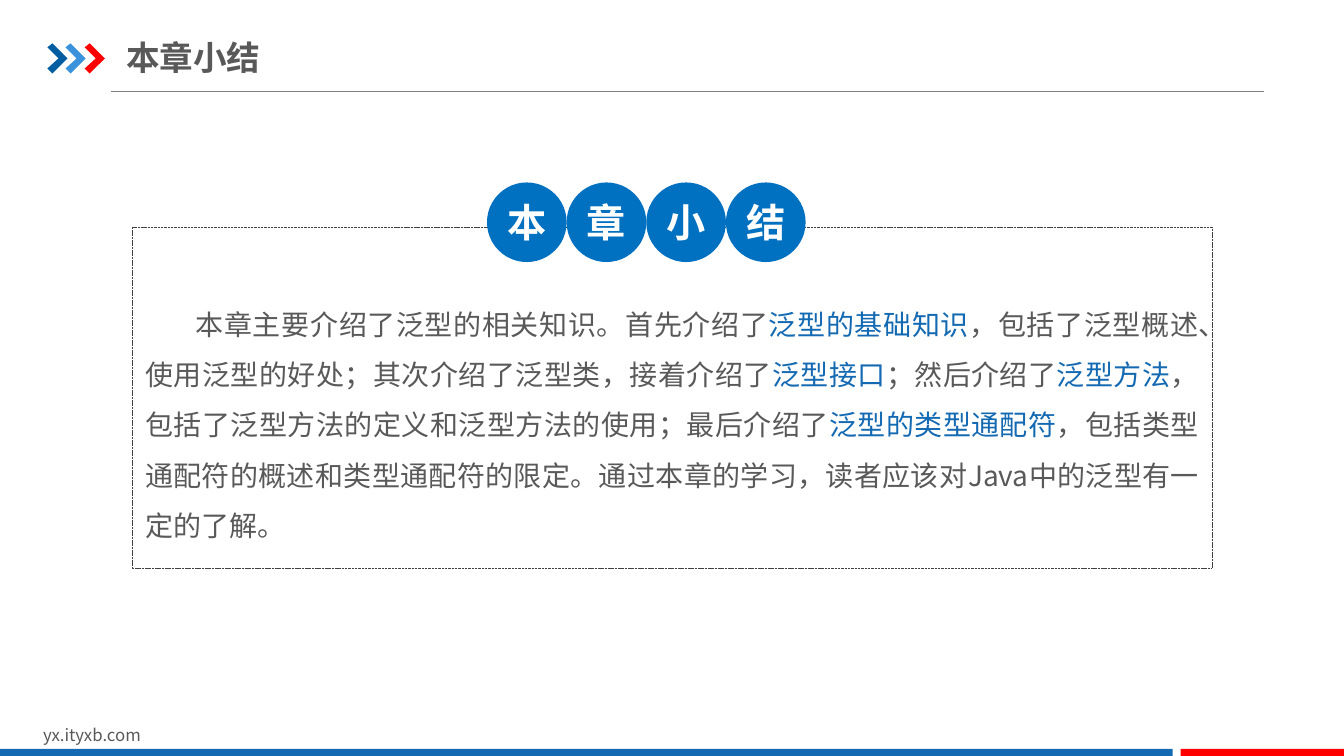
from lxml.etree import SubElement
from pptx import Presentation
from pptx.dml.color import RGBColor
from pptx.enum.dml import MSO_LINE_DASH_STYLE as Dash
from pptx.enum.shapes import MSO_CONNECTOR as Connector, MSO_SHAPE as Shape
from pptx.enum.text import MSO_ANCHOR as Anchor, MSO_AUTO_SIZE as AutoSize, PP_ALIGN as Align
from pptx.oxml.ns import qn
from pptx.util import Pt

PX = 9144  # 100 px to the inch
GREY, BLUE, RED, DISC_BLUE = "595959", "1369B2", "FF0000", "0070C0"

SUMMARY = [
    ("本章主要介绍了泛型的相关知识。首先介绍了", GREY),
    ("泛型的基础知识", BLUE),
    ("，包括了泛型概述、使用泛型的好处；其次介绍了泛型类，接着介绍了", GREY),
    ("泛型接口", BLUE),
    ("；然后介绍了", GREY),
    ("泛型方法", BLUE),
    ("，包括了泛型方法的定义和泛型方法的使用；最后介绍了", GREY),
    ("泛型的类型通配符", BLUE),
    ("，包括类型通配符的概述和类型通配符的限定。通过本章的学习，读者应该对Java中的泛型有一定的了解。", GREY),
]


def rgb(value):
    return RGBColor.from_string(value)


def assign(target, values):
    for name, value in values.items():
        setattr(target, name, value)


class Painter:
    """Draws elements on one page in a shared style; lengths are in px."""

    font = "Noto Sans CJK SC"

    def __init__(self, page):
        self.page = page
        self.shapes = page.shapes

    def place(self, box, left, top, width, height):
        assign(box, {"left": left * PX, "top": top * PX,
                     "width": width * PX, "height": height * PX})

    def fill_text(self, box, spans, size, bold=False, align=Align.LEFT,
                  anchor=Anchor.TOP, insets=(10, 5), line_spacing=1.0, indent=0):
        """Fill the box with one paragraph of (text, colour) spans."""
        across, down = (inset * PX for inset in insets)
        frame = box.text_frame
        assign(frame, {"auto_size": AutoSize.NONE, "word_wrap": True,
                       "vertical_anchor": anchor,
                       "margin_left": across, "margin_right": across,
                       "margin_top": down, "margin_bottom": down})
        para = frame.paragraphs[0]
        assign(para, {"alignment": align, "line_spacing": line_spacing})
        if indent:
            para._p.get_or_add_pPr().set("indent", str(indent * PX))
        for text, colour in spans:
            span = para.add_run()
            span.text = text
            assign(span.font, {"name": self.font, "size": Pt(size), "bold": bold})
            span.font.color.rgb = rgb(colour)
            SubElement(span._r.get_or_add_rPr(), qn("a:ea"), typeface=self.font)

    def title(self, text, *place):
        box = self.shapes.title
        self.place(box, *place)
        self.fill_text(box, [(text, GREY)], 24, bold=True, anchor=Anchor.MIDDLE, insets=(0, 7))

    def text(self, spans, *place, **style):
        box = self.shapes.add_textbox(*(length * PX for length in place))
        self.fill_text(box, spans, **style)

    def shape(self, kind, *place, fill=None):
        box = self.shapes.add_shape(kind, *(length * PX for length in place))
        return self.finish(box, fill)

    def finish(self, box, fill):
        """Remove the shadow and outline, and set the fill."""
        box.shadow.inherit = False
        box.line.fill.background()
        if fill:
            box.fill.solid()
            box.fill.fore_color.rgb = rgb(fill)
        else:
            box.fill.background()
        return box

    def chevron(self, left, top, fill):
        outline = [(5, 0), (20, 15), (5, 30), (0, 25), (11, 15)]
        builder = self.shapes.build_freeform(left, top + 4, scale=PX)
        builder.add_line_segments([(left + x, top + y) for x, y in outline])
        self.finish(builder.convert_to_shape(), fill)

    def rule(self, left, right, top, colour, weight):
        line = self.shapes.add_connector(
            Connector.STRAIGHT, left * PX, top * PX, right * PX, top * PX)
        line.line.color.rgb = rgb(colour)
        line.line.width = Pt(weight)
        SubElement(line._element.spPr, qn("a:effectLst"))

    def dashed_frame(self, *place):
        frame = self.shape(Shape.ROUNDED_RECTANGLE, *place)
        frame.adjustments[0] = 0
        frame.line.color.rgb = rgb("404040")
        assign(frame.line, {"width": Pt(0.25), "dash_style": Dash.SQUARE_DOT})

    def disc(self, character, left, top, size):
        disc = self.shape(Shape.OVAL, left, top, size, size, fill=DISC_BLUE)
        self.fill_text(disc, [(character, "FFFFFF")], 28, bold=True,
                       align=Align.CENTER, anchor=Anchor.MIDDLE, insets=(0, 5))


def main():
    deck = Presentation()
    assign(deck, {"slide_width": 1333 * PX, "slide_height": 750 * PX})
    painter = Painter(deck.slides.add_slide(deck.slide_layouts[5]))

    painter.rule(110, 1254, 91, "808080", 0.75)
    for index, colour in enumerate(["005DA2", "3992DB", RED]):
        painter.chevron(47 + round(18.5 * index), 43, colour)
    painter.text([("yx.ityxb.com", GREY)], 33, 714, 318, 30, size=12)
    painter.shape(Shape.RECTANGLE, 0, 743, 1163, 9, fill=BLUE)
    painter.shape(Shape.RECTANGLE, 1171, 743, 163, 9, fill=RED)

    painter.title("本章小结", 125, 29, 620, 55)
    painter.text(SUMMARY, 131, 281, 1071, 266, size=20, align=Align.JUSTIFY,
                 insets=(13, 7), line_spacing=1.5, indent=50)
    painter.dashed_frame(131, 225, 1071, 339)
    for index, character in enumerate("本章小结"):
        painter.disc(character, 483 + 79 * index, 181, 79)

    deck.save("out.pptx")


if __name__ == "__main__":
    main()
